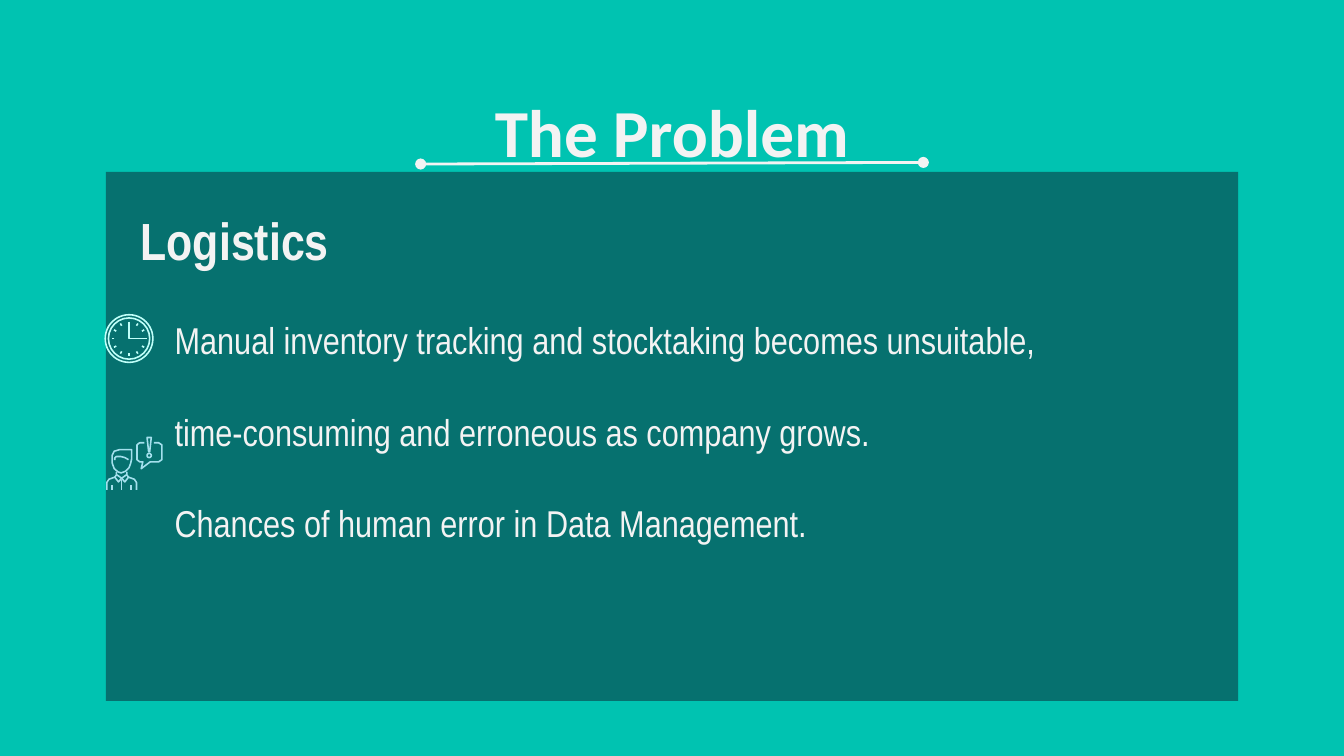
from math import cos, radians, sin

from lxml.etree import SubElement
from pptx import Presentation
from pptx.dml.color import RGBColor
from pptx.enum.shapes import MSO_CONNECTOR, MSO_SHAPE
from pptx.enum.text import MSO_ANCHOR, PP_ALIGN
from pptx.oxml.ns import qn
from pptx.util import Cm, Pt

# Content
TITLE = "The Problem"
HEADING = "Logistics"
POINTS = [
    "Manual inventory tracking and stocktaking becomes unsuitable,",
    "time-consuming and erroneous as company grows.",
    "Chances of human error in Data Management.",
]

COLORS = {
    "background": "00C3B1",
    "panel": "0C343D",
    "light": "F3F3F3",
    "clock": "C0FFF9",
    "person": "A4E0ED",
}
FORMATS = {
    "title": {"name": "Calibri", "size": Pt(36), "bold": True},
    "heading": {"name": "Arial Narrow", "size": Pt(28), "bold": True},
    "point": {"name": "Arial Narrow", "size": Pt(20), "bold": False},
}
PANEL_OPACITY = 57
ICON_LINE = 0.85

# Icon geometry in hundredths of a centimetre
CLOCK_CENTER = (244, 640)
CLOCK_RINGS = [45, 39]
TICK_RADII = (28, 33)
CLOCK_HANDS = [(244, 608), (244, 640), (277, 640)]
PERSON_AXIS = 230
HEAD = [(249, 850), (226, 850), (216, 853), (212, 861), (212, 875), (216, 886),
        (223, 892), (229, 894), (237, 891), (244, 884), (247, 876), (249, 867)]
HAIR = [(217, 870), (217, 866), (220, 863), (228, 863), (236, 865), (243, 869)]
TIE = [(230, 908), (230, 926)]
HALF_BODY = [
    [(202, 926), (202, 912), (206, 906), (217, 902), (220, 898), (220, 892)],
    [(217, 902), (224, 911), (230, 904), (220, 897)],
    [(212, 917), (212, 926)],
]
BUBBLE = [(273, 837), (264, 837), (259, 841), (259, 869), (264, 873), (270, 873),
          (267, 886), (284, 873), (300, 873), (306, 869), (306, 841), (300, 837),
          (291, 837)]
EXCLAMATION = [(278, 827), (286, 827), (283, 854), (281, 854)]
EXCLAMATION_DOT = (282, 861)


def color(key):
    return RGBColor.from_string(COLORS[key])


def set_margins(frame, left, top, right, bottom):
    frame.word_wrap = True
    frame.vertical_anchor = MSO_ANCHOR.TOP
    for side, size in zip(("left", "top", "right", "bottom"), (left, top, right, bottom)):
        setattr(frame, f"margin_{side}", Cm(size))


def write(para, text, style, align):
    para.alignment = align
    span = para.add_run()
    span.text = text
    for name, value in FORMATS[style].items():
        setattr(span.font, name, value)
    span.font.color.rgb = color("light")


def add_line(page, start, end, key, width):
    line = page.shapes.add_connector(
        MSO_CONNECTOR.STRAIGHT, *(Cm(value) for value in (*start, *end)))
    line.line.color.rgb = color(key)
    line.line.width = Pt(width)
    SubElement(line._element.spPr, qn("a:effectLst"))
    return line


def outline(shape, key):
    shape.fill.background()
    shape.line.color.rgb = color(key)
    shape.line.width = Pt(ICON_LINE)
    shape.shadow.inherit = False


def add_stroke(page, points, key, close=False):
    if len(points) == 2:
        start, end = [(x / 100, y / 100) for x, y in points]
        add_line(page, start, end, key, ICON_LINE)
        return
    builder = page.shapes.build_freeform(*points[0], scale=Cm(0.01))
    builder.add_line_segments(points[1:], close=close)
    outline(builder.convert_to_shape(), key)


def add_circle(page, center, radius, key):
    x, y = center
    box = (x - radius, y - radius, 2 * radius, 2 * radius)
    outline(page.shapes.add_shape(MSO_SHAPE.OVAL, *(Cm(v / 100) for v in box)), key)


def add_title(page):
    box = page.shapes.add_textbox(Cm(2), Cm(1.45), Cm(21.4), Cm(1.6))
    set_margins(box.text_frame, 0.25, 0.25, 0.25, 0.25)
    write(box.text_frame.paragraphs[0], TITLE, "title", PP_ALIGN.CENTER)


def add_panel(page):
    panel = page.shapes.add_shape(
        MSO_SHAPE.RECTANGLE, Cm(2), Cm(3.25), Cm(21.4), Cm(10))
    panel.shadow.inherit = False
    panel.line.fill.background()
    panel.fill.solid()
    panel.fill.fore_color.rgb = color("panel")
    fill = panel._element.spPr.find(qn("a:solidFill"))
    SubElement(fill[0], qn("a:alpha"), val=str(PANEL_OPACITY * 1000))

    frame = panel.text_frame
    set_margins(frame, 0.66, 0.68, 0.66, 0.25)
    write(frame.paragraphs[0], HEADING, "heading", PP_ALIGN.LEFT)
    for point in POINTS:
        para = frame.add_paragraph()
        para.space_before = Pt(25)
        para._p.get_or_add_pPr().set("marL", str(Cm(0.64)))
        write(para, point, "point", PP_ALIGN.LEFT)


def add_underline(page):
    rule = add_line(page, (7.95, 3.1), (17.45, 3.07), "light", 1.5)
    for end in ("a:headEnd", "a:tailEnd"):
        SubElement(rule.line._get_or_add_ln(), qn(end), type="oval")


def add_person(page):
    add_stroke(page, HEAD, "person", close=True)
    for points in (HAIR, TIE, BUBBLE):
        add_stroke(page, points, "person")
    for points in HALF_BODY:
        add_stroke(page, points, "person")
        add_stroke(page, [(2 * PERSON_AXIS - x, y) for x, y in points], "person")
    add_stroke(page, EXCLAMATION, "person", close=True)
    add_circle(page, EXCLAMATION_DOT, 4, "person")


def add_clock(page):
    for radius in CLOCK_RINGS:
        add_circle(page, CLOCK_CENTER, radius, "clock")
    add_stroke(page, CLOCK_HANDS, "clock")
    x, y = CLOCK_CENTER
    # The hands cover the marks at 12 and 3 o'clock
    for angle in range(30, 360, 30):
        if angle != 90:
            turn = radians(angle)
            tick = [(x + r * sin(turn), y - r * cos(turn)) for r in TICK_RADII]
            add_stroke(page, tick, "clock")


def main():
    deck = Presentation()
    deck.slide_width, deck.slide_height = Cm(25.4), Cm(14.29)
    page = deck.slides.add_slide(deck.slide_layouts[6])
    page.background.fill.solid()
    page.background.fill.fore_color.rgb = color("background")
    for add_part in (add_title, add_panel, add_underline, add_person, add_clock):
        add_part(page)
    deck.save("out.pptx")


if __name__ == "__main__":
    main()
